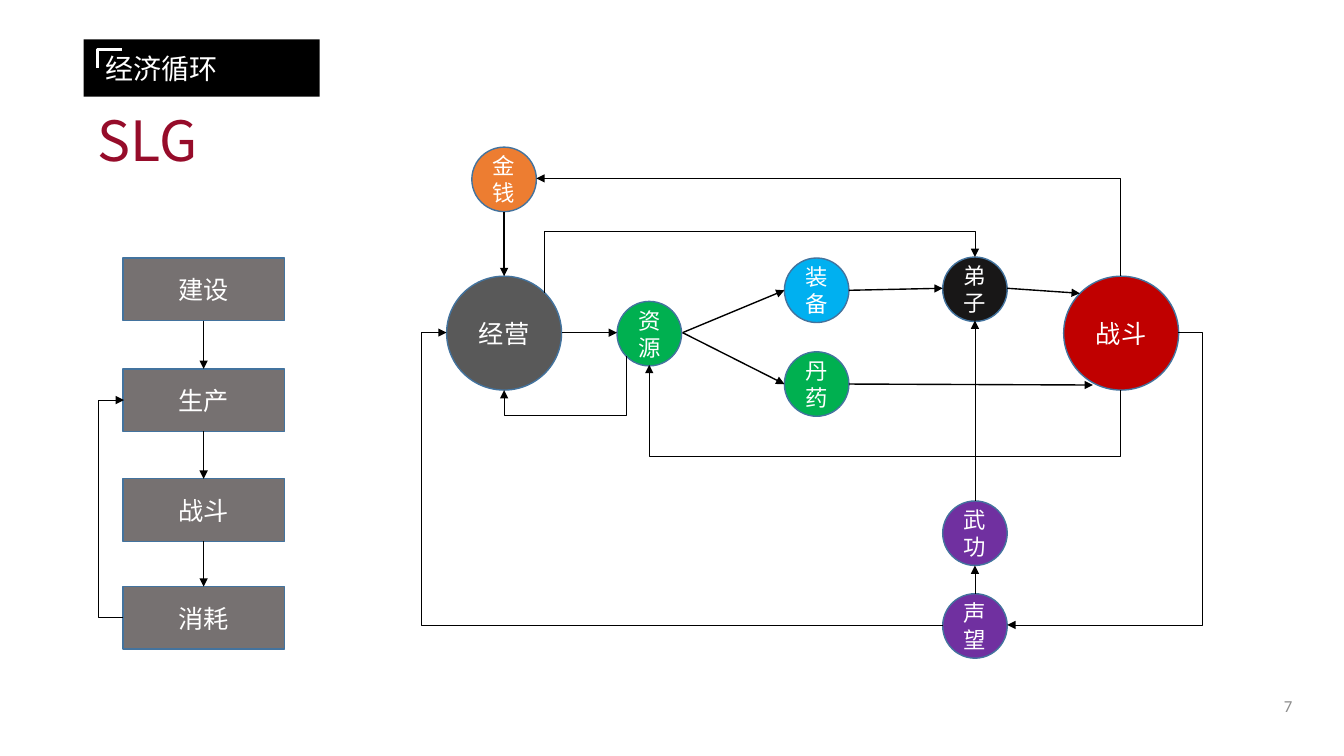
from lxml.etree import SubElement
from pptx import Presentation
from pptx.dml.color import RGBColor
from pptx.enum.shapes import MSO_CONNECTOR, MSO_SHAPE
from pptx.enum.text import MSO_ANCHOR, PP_ALIGN
from pptx.oxml.ns import qn
from pptx.util import Inches, Pt

FONT = "Noto Sans CJK SC"
INK = {
    "black": "000000", "white": "FFFFFF", "title": "960C2A", "page": "8C8C8C",
    "edge": "43739E", "step": "767171", "run": "595959", "fight": "C00000",
    "green": "00B050", "blue": "00B0F0", "gold": "ED7D31", "pupil": "181717",
    "fame": "7030A0",
}


def color(name):
    return RGBColor.from_string(INK[name])


def write(shape, text, size, ink="white", align=PP_ALIGN.CENTER, font=FONT):
    frame = shape.text_frame
    frame.word_wrap = True
    frame.vertical_anchor = MSO_ANCHOR.MIDDLE
    para = frame.paragraphs[0]
    para.text = text
    para.alignment = align
    para.font.size = Pt(size)
    para.font.color.rgb = color(ink)
    para.font.name = font
    SubElement(para.font._element, qn("a:ea"), typeface=font)
    return para


def label(slide, box, text, size, ink, align=PP_ALIGN.LEFT, font=FONT):
    shape = slide.shapes.add_textbox(*map(Inches, box))
    return write(shape, text, size, ink, align, font)


def node(slide, kind, box, text, size, fill):
    shape = slide.shapes.add_shape(kind, *map(Inches, box))
    shape.shadow.inherit = False
    shape.fill.solid()
    shape.fill.fore_color.rgb = color(fill)
    shape.line.color.rgb = color("edge")
    shape.line.width = Pt(1)
    write(shape, text, size)


def link(slide, kind, start, end, width):
    """Draw a black connector with an arrowhead at its end."""
    line = slide.shapes.add_connector(kind, *map(Inches, (*start, *end)))
    line.line.color.rgb = color("black")
    line.line.width = Pt(width)
    props = line._element.spPr
    SubElement(props.find(qn("a:ln")), qn("a:tailEnd"), type="triangle")
    SubElement(props, qn("a:effectLst"))
    return props


def arrow(slide, start, end, width=1):
    link(slide, MSO_CONNECTOR.STRAIGHT, start, end, width)


def elbow(slide, start, end, upright, bend=None):
    """Leave start upright or level and turn at the bend; with none, turn once."""
    (x1, y1), (x2, y2) = start, end
    ratio = None
    if bend is not None:
        ratio = (bend - y1) / (y2 - y1) if upright else (bend - x1) / (x2 - x1)
    if upright:
        # Turn the ends a quarter back around the middle; rot undoes it.
        mx, my = (x1 + x2) / 2, (y1 + y2) / 2
        dx, dy = (y2 - y1) / 2, (x1 - x2) / 2
        start, end = (mx - dx, my - dy), (mx + dx, my + dy)
    props = link(slide, MSO_CONNECTOR.ELBOW, start, end, 0.5)
    if upright:
        props.find(qn("a:xfrm")).set("rot", "5400000")
    shape = props.find(qn("a:prstGeom"))
    if ratio is None:
        shape.set("prst", "bentConnector2")
        return
    guides = shape.find(qn("a:avLst"))
    if guides is None:
        guides = SubElement(shape, qn("a:avLst"))
    SubElement(guides, qn("a:gd"), name="adj1", fmla=f"val {round(ratio * 100000)}")


def header(slide, x, y):
    bar = slide.shapes.add_shape(
        MSO_SHAPE.RECTANGLE, *map(Inches, (x, y, 2.34, 0.57)))
    bar.shadow.inherit = False
    bar.fill.solid()
    bar.fill.fore_color.rgb = color("black")
    bar.line.fill.background()
    bar.text_frame.margin_left = Inches(0.22)
    write(bar, "经济循环", 20, align=PP_ALIGN.LEFT)
    pen = slide.shapes.build_freeform(Inches(x + 0.38), Inches(y + 0.1))
    pen.add_line_segments(
        [(Inches(x + 0.14), Inches(y + 0.1)), (Inches(x + 0.14), Inches(y + 0.28))],
        close=False)
    mark = pen.convert_to_shape()
    mark.shadow.inherit = False
    mark.fill.background()
    mark.line.color.rgb = color("white")
    mark.line.width = Pt(2)
    title = label(slide, (x + 0.04, y + 0.68, 3.21, 0.7), "SLG", 39.6, "title")
    title.line_spacing = 0.9


def steps(slide, x, y):
    """Stack the four steps, with a return from the last to the second."""
    wide, high = 1.6, 0.62
    tops = [y, y + 1.1, y + 2.19, y + 3.26]
    for top, text in zip(tops, ["建设", "生产", "战斗", "消耗"]):
        node(slide, MSO_SHAPE.RECTANGLE, (x, top, wide, high), text, 18, "step")
    mid = x + wide / 2
    for top, below in zip(tops, tops[1:]):
        arrow(slide, (mid, top + high), (mid, below), 0.5)
    elbow(slide, (x, tops[3] + high / 2), (x + 0.01, tops[1] + high / 2),
          False, x - 0.25)


def cycle(slide, x, y):
    """Draw the economy loop from the left edge and top of its nodes."""
    def at(dx, dy):
        return x + dx, y + dy

    for dx, text, fill in [(0, "经营", "run"), (6.12, "战斗", "fight")]:
        node(slide, MSO_SHAPE.OVAL, (*at(dx, 1.28), 1.14, 1.13), text, 18, fill)
    for dx, dy, text, fill in [
        (1.69, 1.53, "资源", "green"), (3.35, 1.1, "装备", "blue"),
        (0.25, 0, "金钱", "gold"), (3.35, 2.03, "丹药", "green"),
        (4.92, 1.09, "弟子", "pupil"), (4.92, 4.43, "声望", "fame"),
        (4.92, 3.51, "武功", "fame"),
    ]:
        node(slide, MSO_SHAPE.OVAL, (*at(dx, dy), 0.64, 0.64), text, 16, fill)

    for start, end, width in [
        ((0.57, 0.64), (0.57, 1.28), 1), ((1.14, 1.84), (1.69, 1.84), 1),
        ((2.34, 1.84), (3.35, 1.42), 1), ((2.34, 1.84), (3.35, 2.35), 1),
        ((3.99, 1.42), (4.92, 1.4), 1), ((3.99, 2.35), (6.41, 2.36), 1),
        ((5.56, 1.4), (6.28, 1.45), 1),
        ((5.24, 4.43), (5.24, 4.15), 0.5), ((5.24, 3.51), (5.24, 1.72), 0.5),
    ]:
        arrow(slide, at(*start), at(*end), width)

    for start, end, bend in [
        ((1.78, 2.07), (0.57, 2.41), 2.66), ((6.68, 2.41), (2.01, 2.16), 3.07),
        ((0.97, 1.45), (5.24, 1.09), 0.84),
    ]:
        elbow(slide, at(*start), at(*end), True, y + bend)
    elbow(slide, at(6.68, 1.28), at(0.89, 0.31), True)
    for start, end, bend in [
        ((7.25, 1.84), (5.56, 4.74), 7.5), ((4.92, 4.74), (0, 1.84), -0.25),
    ]:
        elbow(slide, at(*start), at(*end), False, x + bend)


def main():
    deck = Presentation()
    deck.slide_width, deck.slide_height = Inches(13.33), Inches(7.5)
    slide = deck.slides.add_slide(deck.slide_layouts[6])
    header(slide, 0.83, 0.39)
    steps(slide, 1.22, 2.56)
    cycle(slide, 4.43, 1.46)
    label(slide, (12.48, 6.8, 0.59, 0.4), "7", 12, "page",
          PP_ALIGN.CENTER, "Calibri")
    deck.save("out.pptx")


if __name__ == "__main__":
    main()
